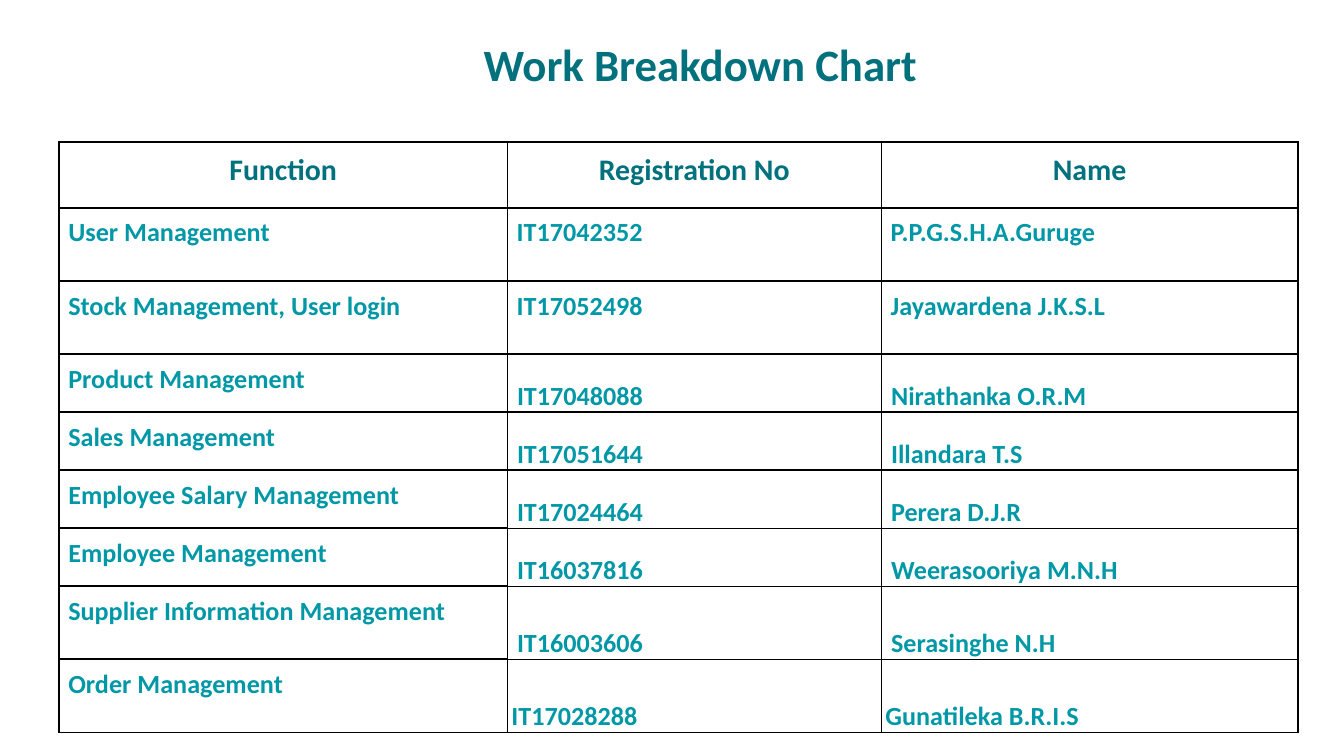
"""Build the work breakdown slide: a title above a table of functions and owners."""
import pptx
import pptx.dml.color
import pptx.enum.text
import pptx.oxml
import pptx.oxml.ns
import pptx.util

Pt = pptx.util.Pt
ALIGN = pptx.enum.text.PP_ALIGN
ANCHOR = pptx.enum.text.MSO_ANCHOR
COLORS = {"heading": "00717D", "body": "0097A7", "border": "000000", "cell": "FFFFFF"}
ROWS = [
    ("Function", "Registration No", "Name"),
    ("User Management", "IT17042352", "P.P.G.S.H.A.Guruge"),
    ("Stock Management, User login", "IT17052498", "Jayawardena J.K.S.L"),
    ("Product Management", "IT17048088", "Nirathanka O.R.M"),
    ("Sales Management", "IT17051644", "Illandara T.S"),
    ("Employee Salary Management", "IT17024464", "Perera D.J.R"),
    ("Employee Management", "IT16037816", "Weerasooriya M.N.H"),
    ("Supplier Information Management", "IT16003606", "Serasinghe N.H"),
    ("Order Management", "IT17028288", "Gunatileka B.R.I.S"),
]
COLUMN_WIDTHS = [240.2, 200.4, 223.2]
ROW_HEIGHTS = [35.1] + [39.2] * 2 + [31.1] * 4 + [39.2] * 2
FIRST_LOOSE_ROW = 3
LAST_ROW = len(ROWS) - 1


def write_text(paragraph, text, size, color, **formats):
    """Write one bold Calibri run and apply the paragraph formats."""
    for name, value in formats.items():
        setattr(paragraph, name, value)
    run = paragraph.add_run()
    run.text = text
    for name, value in {"name": "Calibri", "size": Pt(size), "bold": True}.items():
        setattr(run.font, name, value)
    run.font.color.rgb = pptx.dml.color.RGBColor.from_string(COLORS[color])


def add_borders(cell, widths):
    """Add a solid line to each side of a cell."""
    properties = cell._tc.get_or_add_tcPr()
    for side, width in widths.items():
        properties.append(pptx.oxml.parse_xml(
            f'<a:ln{side} {pptx.oxml.ns.nsdecls("a")} w="{Pt(width)}"><a:solidFill>'
            f'<a:srgbClr val="{COLORS["border"]}"/></a:solidFill></a:ln{side}>'))


presentation = pptx.Presentation()
presentation.slide_width, presentation.slide_height = Pt(720), Pt(405)
slide = presentation.slides.add_slide(presentation.slide_layouts[5])

title = slide.shapes.title
for name, value in {"left": 249.8, "top": 15.8, "width": 250.6, "height": 36}.items():
    setattr(title, name, Pt(value))
title_format = {"auto_size": pptx.enum.text.MSO_AUTO_SIZE.NONE,
                "vertical_anchor": ANCHOR.MIDDLE, "word_wrap": True}
for name, value in title_format.items():
    setattr(title.text_frame, name, value)
write_text(title.text_frame.paragraphs[0], "Work Breakdown Chart", 24, "heading",
           alignment=ALIGN.CENTER)

table = slide.shapes.add_table(
    len(ROWS), len(COLUMN_WIDTHS), Pt(31.6), Pt(76.2),
    Pt(sum(COLUMN_WIDTHS)), Pt(sum(ROW_HEIGHTS))).table
for name in ("first_row", "horz_banding"):
    setattr(table, name, False)
for column, width in zip(table.columns, COLUMN_WIDTHS):
    column.width = Pt(width)
for row, height in zip(table.rows, ROW_HEIGHTS):
    row.height = Pt(height)

for row_index, texts in enumerate(ROWS):
    for column_index, text in enumerate(texts):
        cell = table.cell(row_index, column_index)
        is_header = row_index == 0
        is_loose = row_index >= FIRST_LOOSE_ROW
        is_low = is_loose and column_index > 0

        borders = dict.fromkeys("LRTB", 0.75 if is_low else 1)
        if is_loose:
            borders["R"] = 0.75
        elif row_index == FIRST_LOOSE_ROW - 1 and column_index > 0:
            borders["B"] = 0.75
        add_borders(cell, borders)

        if row_index == 1 and column_index > 0:
            cell.fill.solid()
            cell.fill.fore_color.rgb = pptx.dml.color.RGBColor.from_string(COLORS["cell"])
        else:
            cell.fill.background()

        left, right, vertical = (5.2, 2.2, 0) if is_low else (5, 5, 5)
        if is_low and row_index == LAST_ROW:
            left = 2.2
        cell_format = {
            "margin_left": Pt(left), "margin_right": Pt(right),
            "margin_top": Pt(vertical), "margin_bottom": Pt(vertical),
            "vertical_anchor": ANCHOR.BOTTOM if is_low else ANCHOR.TOP,
        }
        for name, value in cell_format.items():
            setattr(cell, name, value)
        write_text(cell.text_frame.paragraphs[0], text,
                   16 if is_header else 14, "heading" if is_header else "body",
                   alignment=ALIGN.CENTER if is_header else ALIGN.LEFT,
                   line_spacing=1.15 if is_low and row_index < LAST_ROW else 1.0)

presentation.save("out.pptx")
